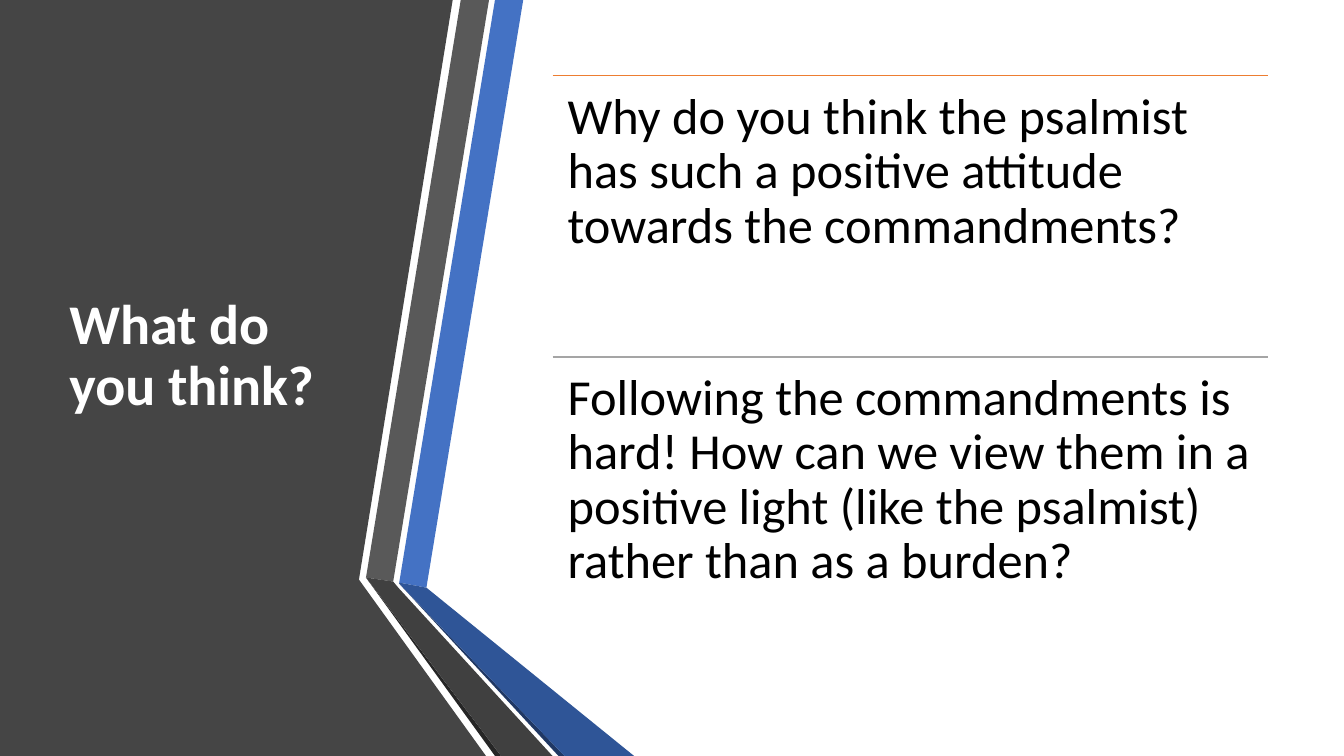
"""Build the "What do you think?" discussion slide with a folded ribbon panel."""
from lxml import etree
from pptx import Presentation
from pptx.dml.color import RGBColor
from pptx.enum.shapes import MSO_CONNECTOR
from pptx.enum.text import MSO_ANCHOR, PP_ALIGN
from pptx.oxml.ns import qn
from pptx.util import Inches, Pt

STRAIGHT = MSO_CONNECTOR.STRAIGHT
TOP, MIDDLE = MSO_ANCHOR.TOP, MSO_ANCHOR.MIDDLE
LEFT = PP_ALIGN.LEFT

THEME = {
    "panel": "454545",
    "blue": "4472C4",
    "blue_fold": "2F5597",
    "blue_edge": "203864",
    "gray": "595959",
    "gray_fold": "404040",
    "gray_edge": "262626",
    "title": {"name": "Calibri", "size": Pt(40), "bold": True, "color": "FFFFFF"},
    "question": {"name": "Calibri", "size": Pt(36), "bold": False, "color": "000000"},
}

RIBBONS = [
    ("panel", [(0, 0), (4.49, 0), (3.56, 5.75), (4.82, 7.5), (0, 7.5)]),
    ("blue", [(3.96, 5.78), (4.23, 5.83), (5.19, 0), (4.91, 0)]),
    ("gray", [(4.85, 0), (4.57, 0), (3.63, 5.73), (3.9, 5.77)]),
    ("gray_edge", [(3.63, 5.73), (4.91, 7.5), (4.97, 7.5)]),
    ("blue_edge", [(3.96, 5.79), (5.54, 7.5), (5.6, 7.5)]),
    ("blue_fold", [(3.96, 5.78), (3.96, 5.79), (5.6, 7.5), (6.29, 7.5), (4.23, 5.83)]),
    ("gray_fold", [(3.63, 5.73), (4.97, 7.5), (5.48, 7.5), (3.95, 5.83), (3.9, 5.77)]),
]

QUESTIONS = [
    ("Why do you think the psalmist has such a positive attitude "
     "towards the commandments?", "ED7D31"),
    ("Following the commandments is hard! How can we view them in a positive "
     "light (like the psalmist) rather than as a burden?", "A5A5A5"),
]
QUESTION_LEFT, QUESTION_TOP = 5.48, 0.75
QUESTION_WIDTH, QUESTION_HEIGHT = 7.1, 2.79


def add_text(slide, text, box, style, anchor, inset_x, inset_y):
    """Add a wrapped, left-aligned text box in a theme style."""
    shape = slide.shapes.add_textbox(*[Inches(value) for value in box])
    frame_format = {
        "word_wrap": True, "vertical_anchor": anchor,
        "margin_left": Inches(inset_x), "margin_right": Inches(inset_x),
        "margin_top": Inches(inset_y), "margin_bottom": Inches(inset_y),
    }
    for name, value in frame_format.items():
        setattr(shape.text_frame, name, value)
    paragraph = shape.text_frame.paragraphs[0]
    paragraph.alignment = LEFT
    paragraph.line_spacing = 0.9
    run = paragraph.add_run()
    run.text = text
    for name, value in style.items():
        if name == "color":
            run.font.color.rgb = RGBColor.from_string(value)
        else:
            setattr(run.font, name, value)


presentation = Presentation()
presentation.slide_width = Inches(13.33)
presentation.slide_height = Inches(7.5)
slide = presentation.slides.add_slide(presentation.slide_layouts[6])

for color, points in RIBBONS:
    corners = [(Inches(x), Inches(y)) for x, y in points]
    builder = slide.shapes.build_freeform(*corners[0])
    builder.add_line_segments(corners[1:], close=True)
    shape = builder.convert_to_shape()
    shape.shadow.inherit = False
    shape.fill.solid()
    shape.fill.fore_color.rgb = RGBColor.from_string(THEME[color])
    shape.line.fill.background()

add_text(slide, "What do you think?", (0.59, 0.75, 3.04, 5.58),
         THEME["title"], MIDDLE, 0.1, 0.05)

for index, (question, rule_color) in enumerate(QUESTIONS):
    top = QUESTION_TOP + index * QUESTION_HEIGHT
    rule = slide.shapes.add_connector(
        STRAIGHT, Inches(QUESTION_LEFT), Inches(top),
        Inches(QUESTION_LEFT + QUESTION_WIDTH), Inches(top))
    rule.line.color.rgb = RGBColor.from_string(rule_color)
    rule.line.width = Pt(1)
    etree.SubElement(rule.element.spPr, qn("a:effectLst"))
    add_text(slide, question, (QUESTION_LEFT, top, QUESTION_WIDTH, QUESTION_HEIGHT),
             THEME["question"], TOP, 0.15, 0.15)

presentation.save("out.pptx")
